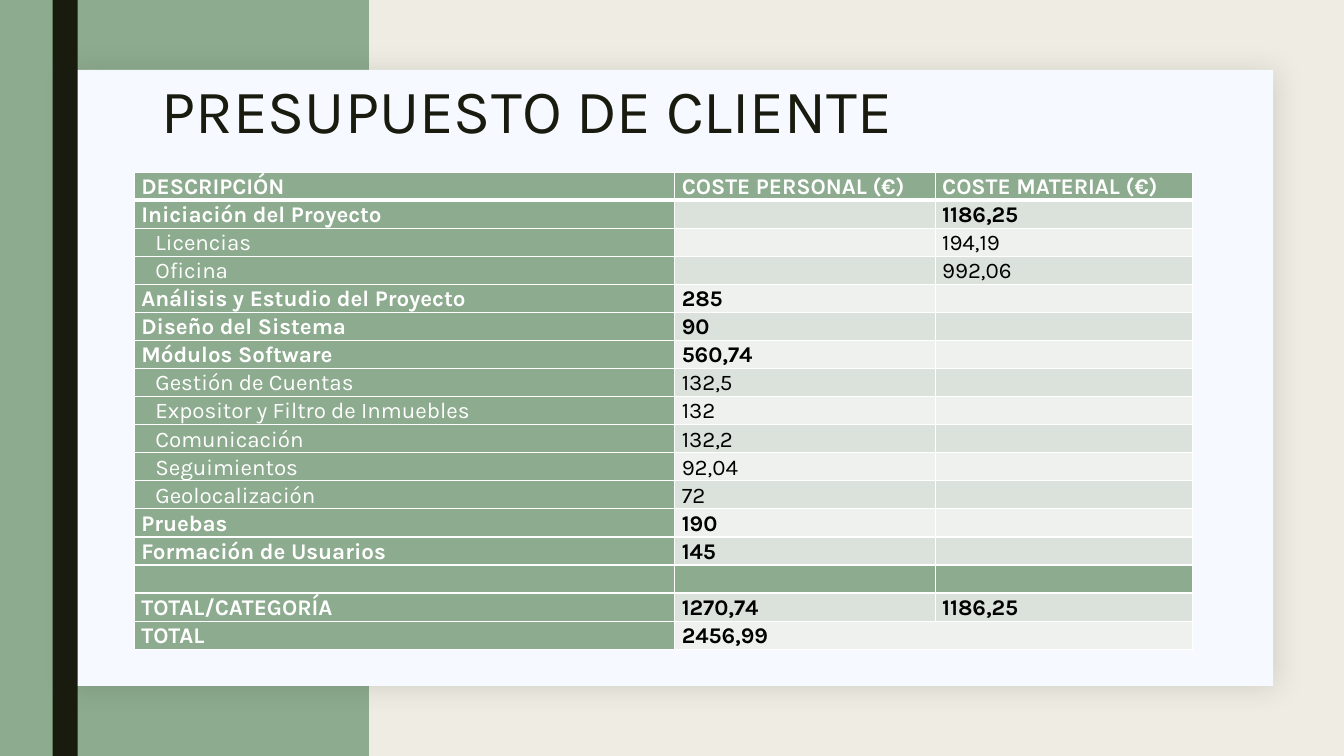
from lxml.etree import SubElement
from pptx import Presentation
from pptx.dml.color import RGBColor as Color
from pptx.enum.shapes import MSO_SHAPE as Preset
from pptx.enum.text import MSO_ANCHOR as Anchor, MSO_AUTO_SIZE as AutoSize, PP_ALIGN as Align
from pptx.oxml import parse_xml
from pptx.oxml.ns import nsdecls, qn
from pptx.util import Pt

COLORS = {
    "background": "EFEDE3", "green": "8DAB8E", "panel": "F6F9FF", "ink": "191B0E",
    "dark_band": "DBE2DB", "light_band": "EEF1EE", "white": "FFFFFF",
    "black": "000000", "shadow": "1F2125",
}
FONT = "Karla"
HEADINGS = ("DESCRIPCIÓN", "COSTE PERSONAL (€)", "COSTE MATERIAL (€)")
COLUMN_WIDTHS = (386, 186, 184)

# Description, staff cost, material cost, whether it is a sub-item
BUDGET = [
    ("Iniciación del Proyecto", "", "1186,25", False),
    ("Licencias", "", "194,19", True),
    ("Oficina", "", "992,06", True),
    ("Análisis y Estudio del Proyecto", "285", "", False),
    ("Diseño del Sistema", "90", "", False),
    ("Módulos Software", "560,74", "", False),
    ("Gestión de Cuentas", "132,5", "", True),
    ("Expositor y Filtro de Inmuebles", "132", "", True),
    ("Comunicación", "132,2", "", True),
    ("Seguimientos", "92,04", "", True),
    ("Geolocalización", "72", "", True),
    ("Pruebas", "190", "", False),
    ("Formación de Usuarios", "145", "", False),
    ("", "", "", False),
    ("TOTAL/CATEGORÍA", "1270,74", "1186,25", False),
    ("TOTAL", "2456,99", "", False),
]
SEPARATOR_ROW = 14


def color(name):
    return Color.from_string(COLORS[name])


def write_text(frame, text, size=16, ink="black", bold=False, align=Align.LEFT,
               line_spacing=1.07, space_after=0, indent=0):
    paragraph = frame.paragraphs[0]
    paragraph.alignment = align
    paragraph.line_spacing = line_spacing
    paragraph.space_after = Pt(space_after)
    if indent:
        paragraph._p.get_or_add_pPr().set("marL", str(Pt(indent)))
        paragraph._p.get_or_add_pPr().set("indent", "0")
    if not text:
        # An empty paragraph takes its height from its end mark
        SubElement(paragraph._p, qn("a:endParaRPr"), sz=str(size * 100))
        return
    run = paragraph.add_run()
    run.text = text
    run.font.name = FONT
    run.font.size = Pt(size)
    run.font.bold = bold
    run.font.color.rgb = color(ink)


def add_rectangle(slide, left, top, width, height, fill):
    shape = slide.shapes.add_shape(Preset.RECTANGLE, Pt(left), Pt(top), Pt(width), Pt(height))
    shape.shadow.inherit = False
    shape.fill.solid()
    shape.fill.fore_color.rgb = color(fill)
    shape.line.fill.background()
    return shape


def add_soft_shadow(shape):
    effects = shape._element.spPr.find(qn("a:effectLst"))
    effects.append(parse_xml(
        f'<a:outerShdw {nsdecls("a")} blurRad="{Pt(20)}" dist="{Pt(2)}" dir="2700000" '
        f'algn="tl" rotWithShape="0"><a:srgbClr val="{COLORS["shadow"]}">'
        '<a:alpha val="15000"/></a:srgbClr></a:outerShdw>'))


def add_backdrop(slide, height):
    slide.background.fill.solid()
    slide.background.fill.fore_color.rgb = color("background")
    add_rectangle(slide, 0, 0, 263.5, height, "green")
    panel = add_rectangle(slide, 50, 50, 859.5, height - 100, "panel")
    add_soft_shadow(panel)
    add_rectangle(slide, 37.5, 0, 18, height, "ink")


def place_title(slide, left, top, width, height):
    title = slide.shapes.title
    title.left, title.top, title.width, title.height = Pt(left), Pt(top), Pt(width), Pt(height)
    # Bring the title in front of the backdrop
    title.element.getparent().append(title.element)
    frame = title.text_frame
    frame.word_wrap = True
    frame.auto_size = AutoSize.NONE
    frame.vertical_anchor = Anchor.TOP
    write_text(frame, "PRESUPUESTO DE CLIENTE", size=44, ink="ink", line_spacing=0.89)


def set_borders(cell, top=1, bottom=1):
    properties = cell._tc.get_or_add_tcPr()
    for index, (side, width) in enumerate((("L", 1), ("R", 1), ("T", top), ("B", bottom))):
        properties.insert(index, parse_xml(
            f'<a:ln{side} {nsdecls("a")} w="{Pt(width)}"><a:solidFill>'
            f'<a:srgbClr val="{COLORS["white"]}"/></a:solidFill></a:ln{side}>'))


def format_cell(cell, text, row, column, sub_item):
    green = column == 0 or row in (0, SEPARATOR_ROW)
    band = "dark_band" if row % 2 else "light_band"
    cell.fill.solid()
    cell.fill.fore_color.rgb = color("green" if green else band)
    cell.margin_left = cell.margin_right = Pt(5)
    cell.margin_top = cell.margin_bottom = 0
    cell.vertical_anchor = Anchor.MIDDLE
    write_text(cell.text_frame, text, ink="white" if green else "black", bold=not sub_item,
               align=Align.JUSTIFY, space_after=8,
               indent=10 if sub_item and column == 0 else 0)
    set_borders(cell, top=3 if row == 1 else 1, bottom=3 if row == 0 else 1)


def add_budget_table(slide, left, top, width, height):
    rows = [(*HEADINGS, False), *BUDGET]
    table = slide.shapes.add_table(len(rows), len(HEADINGS), Pt(left), Pt(top),
                                   Pt(width), Pt(height)).table
    table.first_row = table.horz_banding = False
    for column, column_width in zip(table.columns, COLUMN_WIDTHS):
        column.width = Pt(column_width)
    for row, (*texts, sub_item) in enumerate(rows):
        table.rows[row].height = Pt(height / len(rows))
        for column, text in enumerate(texts):
            format_cell(table.cell(row, column), text, row, column, sub_item)
    # The grand total spans both cost columns
    last = len(rows) - 1
    table.cell(last, 1).merge(table.cell(last, 2))


def main():
    presentation = Presentation()
    presentation.slide_width, presentation.slide_height = Pt(960), Pt(540)
    slide = presentation.slides.add_slide(presentation.slide_layouts[5])
    add_backdrop(slide, 540)
    place_title(slide, 108, 54, 756, 116.5)
    add_budget_table(slide, 96, 123, sum(COLUMN_WIDTHS), 341)
    presentation.save("out.pptx")


if __name__ == "__main__":
    main()
